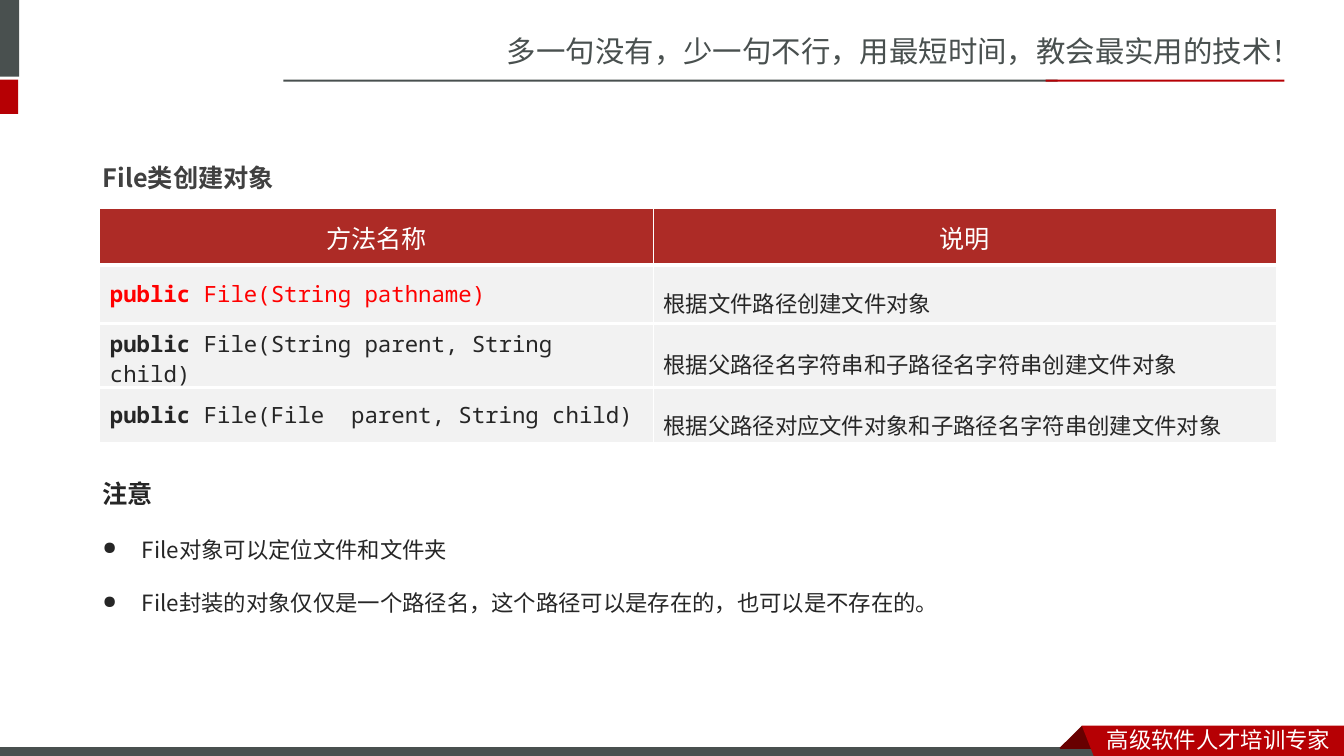
import pptx
import pptx.dml.color
import pptx.enum.shapes
import pptx.enum.text
import pptx.oxml
import pptx.oxml.ns
import pptx.util
from pptx.util import Inches

SANS, BODY, MONO = "Noto Sans CJK SC", "Noto Sans CJK JP", "Noto Sans Mono"
GREY, RED, DARK_RED, WHITE, INK = "49504F", "B60004", "680000", "FFFFFF", "262626"
HEADER_FILL, ROW_FILL = "AD2B26", "F2F2F2"
NAMESPACE = pptx.oxml.ns.nsdecls("a")
ANCHOR, ALIGN = pptx.enum.text.MSO_ANCHOR, pptx.enum.text.PP_ALIGN


def rgb(color):
    return pptx.dml.color.RGBColor.from_string(color)


def add_run(paragraph, text, size, face, color, bold=False):
    """Add a run whose face serves Latin and East Asian letters alike."""
    run = paragraph.add_run()
    run.text = text
    formats = {"size": pptx.util.Pt(size), "name": face, "bold": bold}
    for attribute, value in formats.items():
        setattr(run.font, attribute, value)
    run.font.color.rgb = rgb(color)
    run._r.get_or_add_rPr().append(
        pptx.oxml.parse_xml(f'<a:ea {NAMESPACE} typeface="{face}"/>'))


presentation = pptx.Presentation()
presentation.slide_width, presentation.slide_height = Inches(13.33), Inches(7.5)
slide = presentation.slides.add_slide(presentation.slide_layouts[5])

# Header bars, footer strip and folded ribbon
bars = [
    (-0.06, 0, 0.25, 0.76, GREY),
    (-0.06, 0.79, 0.24, 0.34, RED),
    (2.81, 0.79, 7.68, 0.02, GREY),
    (10.37, 0.79, 2.37, 0.02, RED),
    (-0.01, 7.41, 11, 0.12, GREY),
]
ribbon = [
    ([(10.73, 7.2), (10.95, 7.42), (10.94, 7.43), (10.52, 7.43), (10.51, 7.42)], DARK_RED),
    ([(10.73, 7.2), (13.33, 7.2), (13.33, 7.54), (10.86, 7.53)], RED),
]
decorations = []
for *box, color in bars:
    bar = slide.shapes.add_shape(
        pptx.enum.shapes.MSO_SHAPE.RECTANGLE, *[Inches(length) for length in box])
    decorations.append((bar, color))
for points, color in ribbon:
    corners = [(Inches(x), Inches(y)) for x, y in points]
    outline = slide.shapes.build_freeform(*corners[0])
    outline.add_line_segments(corners[1:])
    decorations.append((outline.convert_to_shape(), color))
for decoration, color in decorations:
    decoration.shadow.inherit = False
    decoration.fill.solid()
    decoration.fill.fore_color.rgb = rgb(color)
    decoration.line.fill.background()
footer_strip = decorations[len(bars) - 1][0]
footer_strip.line.color.rgb = rgb(WHITE)
footer_strip.line.width = pptx.util.Pt(0.75)

# Slogans, title and notes: box, then paragraphs of text, size, face, colour, bold
slogan_lines = [("多一句没有，少一句不行，用最短时间，教会最实用的技术！", 21, SANS, GREY)]
tagline_lines = [("高级软件人才培训专家", 16, SANS, WHITE)]
title_lines = [("File类创建对象", 18, BODY, "404040", True)]
note_lines = [
    ("注意", 18, BODY, INK, True),
    ("File对象可以定位文件和文件夹", 16, BODY, INK),
    ("File封装的对象仅仅是一个路径名，这个路径可以是存在的，也可以是不存在的。", 16, BODY, INK),
]
texts = [
    (None, (4.93, 0.28, 8.41, 0.47), 1, slogan_lines),
    (None, (10.88, 7.15, 2.45, 0.37), 1, tagline_lines),
    (slide.shapes.title, (0.92, 1.26, 10.35, 0.63), 2, title_lines),
    (None, (0.92, 4.4, 11.06, 1.71), 2, note_lines),
]
for holder, box, spacing, lines in texts:
    left, top, width, height = [Inches(length) for length in box]
    holder = holder or slide.shapes.add_textbox(left, top, width, height)
    placement = {"left": left, "top": top, "width": width, "height": height}
    for attribute, value in placement.items():
        setattr(holder, attribute, value)
    frame = holder.text_frame
    frame.word_wrap = True
    frame.auto_size = pptx.enum.text.MSO_AUTO_SIZE.SHAPE_TO_FIT_TEXT
    frame.vertical_anchor = ANCHOR.TOP
    for index, line in enumerate(lines):
        paragraph = frame.add_paragraph() if index else frame.paragraphs[0]
        paragraph.alignment = ALIGN.LEFT
        paragraph.line_spacing = float(spacing)
        if index:
            properties = paragraph._p.get_or_add_pPr()
            properties.set("marL", str(Inches(0.39)))
            properties.set("indent", str(-Inches(0.39)))
            for bullet in ('buSzPct {} val="80000"', 'buChar {} char="●"'):
                properties.append(pptx.oxml.parse_xml(f"<a:{bullet.format(NAMESPACE)}/>"))
        add_run(paragraph, *line)

# Constructor table
headings = ["方法名称", "说明"]
constructors = [
    ("File(String pathname)", "根据文件路径创建文件对象", "FF0000"),
    ("File(String parent, String child)", "根据父路径名字符串和子路径名字符串创建文件对象", INK),
    ("File(File  parent, String child)", "根据父路径对应文件对象和子路径名字符串创建文件对象", INK),
]
column_widths, row_heights = [5.49, 6.18], [0.56, 0.58, 0.51, 0.55]
table = slide.shapes.add_table(
    len(row_heights), len(column_widths),
    Inches(0.99), Inches(2.07), Inches(11.66), Inches(2.2)).table
for column, width in zip(table.columns, column_widths):
    column.width = Inches(width)
for row, height in zip(table.rows, row_heights):
    row.height = Inches(height)

for column, heading in enumerate(headings):
    paragraph = table.cell(0, column).text_frame.paragraphs[0]
    paragraph.alignment = ALIGN.CENTER
    paragraph.line_spacing = pptx.util.Pt(24)
    add_run(paragraph, heading, 18, "Lato", WHITE)
for row, (signature, meaning, color) in enumerate(constructors, 1):
    method, description = [table.cell(row, column).text_frame.paragraphs[0] for column in (0, 1)]
    add_run(method, "public ", 16, MONO, color, True)
    add_run(method, signature, 16, MONO, color)
    description.line_spacing = 1.5
    add_run(description, meaning, 16, BODY, INK)

last_row = len(row_heights) - 1
for row in range(len(row_heights)):
    borders = {"L": 1, "R": 1, "T": 3 if row else 1, "B": 3 if row < last_row else 1}
    for cell in table.rows[row].cells:
        cell.vertical_anchor = ANCHOR.MIDDLE
        for side, width in borders.items():
            cell._tc.get_or_add_tcPr().append(pptx.oxml.parse_xml(
                f'<a:ln{side} {NAMESPACE} w="{pptx.util.Pt(width)}"><a:solidFill>'
                f'<a:srgbClr val="{WHITE}"/></a:solidFill></a:ln{side}>'))
        cell.fill.solid()
        cell.fill.fore_color.rgb = rgb(ROW_FILL if row else HEADER_FILL)

presentation.save("out.pptx")
